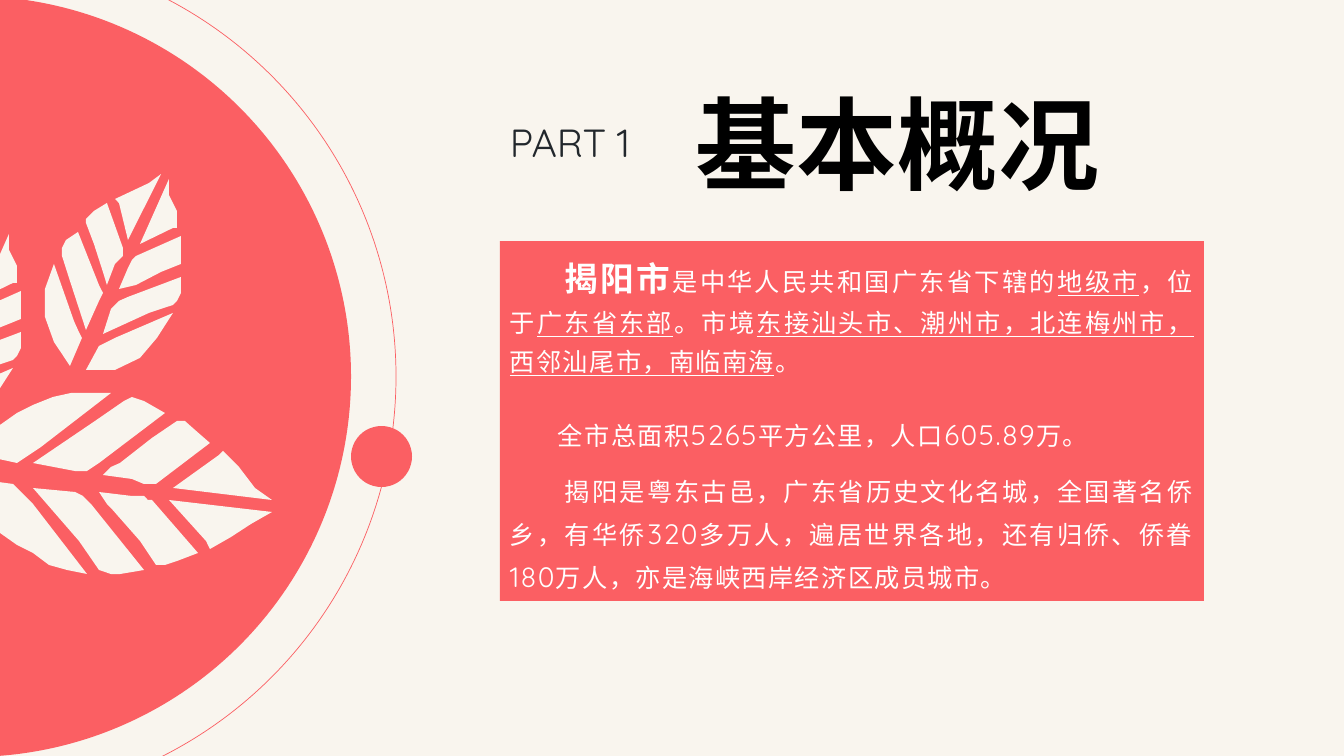
from dataclasses import dataclass

from lxml import etree
from pptx import Presentation
from pptx import util as u
from pptx.dml.color import RGBColor
from pptx.enum import shapes, text
from pptx.oxml import ns

SCALE = 914400 / 100.8


@dataclass(frozen=True)
class Theme:
    paper: str = "F9F5EE"
    coral: str = "FB5F63"
    ink: str = "22272C"
    black: str = "000000"
    white: str = "FFFFFF"
    latin: str = "Quicksand"
    cjk: str = "Noto Sans CJK SC"
    title: int = 72
    label: int = 28
    lead: int = 24
    figure: int = 20
    body: int = 18


THEME = Theme()

BIG_LEAF = [
    [(230, 148), (234, 156), (255, 144), (275, 131), (296, 119), (193, 107)],
    [(156, 103), (123, 99), (131, 111), (135, 115), (164, 148), (180, 172), (189, 172),
     (201, 168), (222, 160), (176, 107), (172, 107), (168, 103)],
    [(99, 99), (57, 95), (103, 148), (123, 177), (135, 181), (144, 181), (168, 177),
     (115, 111), (107, 103)],
    [(37, 91), (0, 86), (4, 107), (12, 123), (24, 140), (41, 152), (57, 160),
     (73, 172), (91, 177), (111, 181), (57, 111), (49, 103)],
    [(263, 74), (247, 58), (243, 62), (197, 95), (296, 107), (279, 95)],
    [(144, 70), (135, 74), (127, 82), (156, 86), (168, 91), (180, 91), (234, 50),
     (218, 36), (209, 28), (201, 28), (176, 45)],
    [(123, 70), (189, 20), (168, 8), (156, 4), (148, 8), (119, 28), (57, 70),
     (99, 78), (111, 78)],
    [(4, 62), (41, 70), (53, 62), (65, 54), (135, 0), (115, 0), (95, 0), (77, 4),
     (57, 12), (41, 20), (24, 32), (12, 45)],
]

LEAF_RIGHT_HALF = [
    [(128, 54), (132, 54), (132, 37), (124, 21), (124, 5), (95, 70)],
    [(83, 94), (74, 115), (91, 111), (116, 98), (136, 90), (136, 78), (136, 62),
     (91, 82), (87, 86)],
    [(128, 131), (132, 127), (136, 119), (136, 103), (83, 123), (74, 127), (66, 135),
     (58, 160), (104, 139)],
    [(54, 172), (41, 196), (54, 196), (70, 196), (95, 184), (112, 164), (128, 139),
     (70, 164), (62, 168)],
]

LEAF_LEFT_HALF = [
    [(83, 66), (116, 0), (104, 9), (87, 17), (70, 25), (74, 29)],
    [(58, 98), (62, 111), (70, 90), (78, 82), (78, 74), (62, 29), (49, 37), (41, 45),
     (41, 49), (49, 70)],
    [(25, 107), (41, 156), (54, 127), (58, 119), (54, 111), (33, 58), (21, 66),
     (17, 74), (17, 82)],
    [(29, 147), (9, 90), (0, 115), (0, 143), (9, 168), (17, 180), (25, 192),
     (37, 164), (33, 156)],
]

LEAVES = [
    (431, 442, BIG_LEAF),
    (340, 278, LEAF_RIGHT_HALF),
    (500, 223, LEAF_LEFT_HALF + LEAF_RIGHT_HALF),
]

PARAGRAPHS = [
    (55, 0, [
        ("揭阳市", dict(size=THEME.lead, bold=True)),
        ("是中华人民共和国广东省下辖的", {}),
        ("地级市", dict(underline=True)),
        ("，位于", {}),
        ("广东省东部", dict(underline=True)),
        ("。市境", {}),
        ("东接汕头市、潮州市，北连梅州市，西邻汕尾市，南临南海", dict(underline=True)),
        ("。", {}),
    ]),
    (48, 22, [
        ("全市总面积", {}),
        ("5265", dict(size=THEME.figure)),
        ("平方公里，人口", {}),
        ("605.89", dict(size=THEME.figure)),
        ("万。", {}),
    ]),
    (55, 11, [
        ("揭阳是粤东古邑，广东省历史文化名城，全国著名侨乡，有华侨", {}),
        ("320", dict(size=THEME.figure)),
        ("多万人，遍居世界各地，还有归侨、侨眷", {}),
        ("180", dict(size=THEME.figure)),
        ("万人，亦是海峡西岸经济区成员城市。", {}),
    ]),
]


def px(n):
    return u.Emu(round(n * SCALE))


def rgb(color):
    return RGBColor.from_string(color)


def paint(sp, fill=None, line=None):
    sp.shadow.inherit = False
    if fill:
        sp.fill.solid()
        sp.fill.fore_color.rgb = rgb(fill)
    else:
        sp.fill.background()
    if line:
        sp.line.color.rgb = rgb(line)
        sp.line.width = u.Pt(0.5)
    else:
        sp.line.fill.background()


def add_preset(s, kind, x, y, w, h, **look):
    sp = s.shapes.add_shape(kind, px(x), px(y), px(w), px(h))
    paint(sp, **look)
    return sp


def add_text(p, words, size=THEME.body, color=THEME.white, font=THEME.latin,
             bold=False, underline=False, spacing=0):
    r = p.add_run()
    r.text = words
    r.font.size = u.Pt(size)
    r.font.bold = bold
    r.font.underline = underline
    r.font.color.rgb = rgb(color)
    r.font.name = font
    rPr = r._r.get_or_add_rPr()
    rPr.set("spc", str(spacing * 100))
    etree.SubElement(rPr, ns.qn("a:ea")).set("typeface", THEME.cjk)


def add_heading(s, x, y, w, h, words, **style):
    tf = s.shapes.add_textbox(px(x), px(y), px(w), px(h)).text_frame
    tf.word_wrap = True
    tf.vertical_anchor = text.MSO_ANCHOR.MIDDLE
    p = tf.paragraphs[0]
    p.line_spacing = 1.3
    p.space_before = u.Pt(10)
    add_text(p, words, **style)


def add_leaf(s, x, y, pieces):
    leaf = s.shapes.add_group_shape()
    for piece in pieces:
        points = [(x + dx, y + dy) for dx, dy in piece]
        builder = leaf.shapes.build_freeform(*points[0], scale=SCALE)
        builder.add_line_segments(points[1:], close=True)
        paint(builder.convert_to_shape(), fill=THEME.paper)


def add_leaf_disc(s, x, y, size):
    oval = shapes.MSO_SHAPE.OVAL
    gap = 45
    disc = size - 2 * gap
    add_preset(s, oval, x, y, size, size, line=THEME.coral)
    add_preset(s, oval, x + gap, y + gap, disc, disc, fill=THEME.coral)
    add_preset(s, oval, x + 806, y + 475, 61, 61, fill=THEME.coral)
    for dx, dy, pieces in LEAVES:
        add_leaf(s, x + dx, y + dy, pieces)


def add_overview(s, x, y, w, h):
    sp = add_preset(s, shapes.MSO_SHAPE.RECTANGLE, x, y, w, h, fill=THEME.coral)
    tf = sp.text_frame
    tf.word_wrap = True
    tf.vertical_anchor = text.MSO_ANCHOR.TOP
    for i, (indent, before, runs) in enumerate(PARAGRAPHS):
        p = tf.add_paragraph() if i else tf.paragraphs[0]
        p.alignment = text.PP_ALIGN.JUSTIFY
        p.line_spacing = 1.3
        p.space_before = u.Pt(before)
        p._p.get_or_add_pPr().set("indent", str(px(indent)))
        for words, style in runs:
            add_text(p, words, spacing=1, **style)


def main():
    prs = Presentation()
    prs.slide_width, prs.slide_height = px(1344), px(756)
    s = prs.slides.add_slide(prs.slide_layouts[6])
    s.background.fill.solid()
    s.background.fill.fore_color.rgb = rgb(THEME.paper)
    add_heading(s, 500, 98, 259, 74, "PART 1", size=THEME.label, color=THEME.ink)
    add_heading(s, 686, 64, 640, 121, "基本概况", size=THEME.title,
                color=THEME.black, font=THEME.cjk, bold=True)
    add_leaf_disc(s, -455, -49, 851)
    add_overview(s, 500, 241, 704, 360)
    prs.save("out.pptx")


if __name__ == "__main__":
    main()
